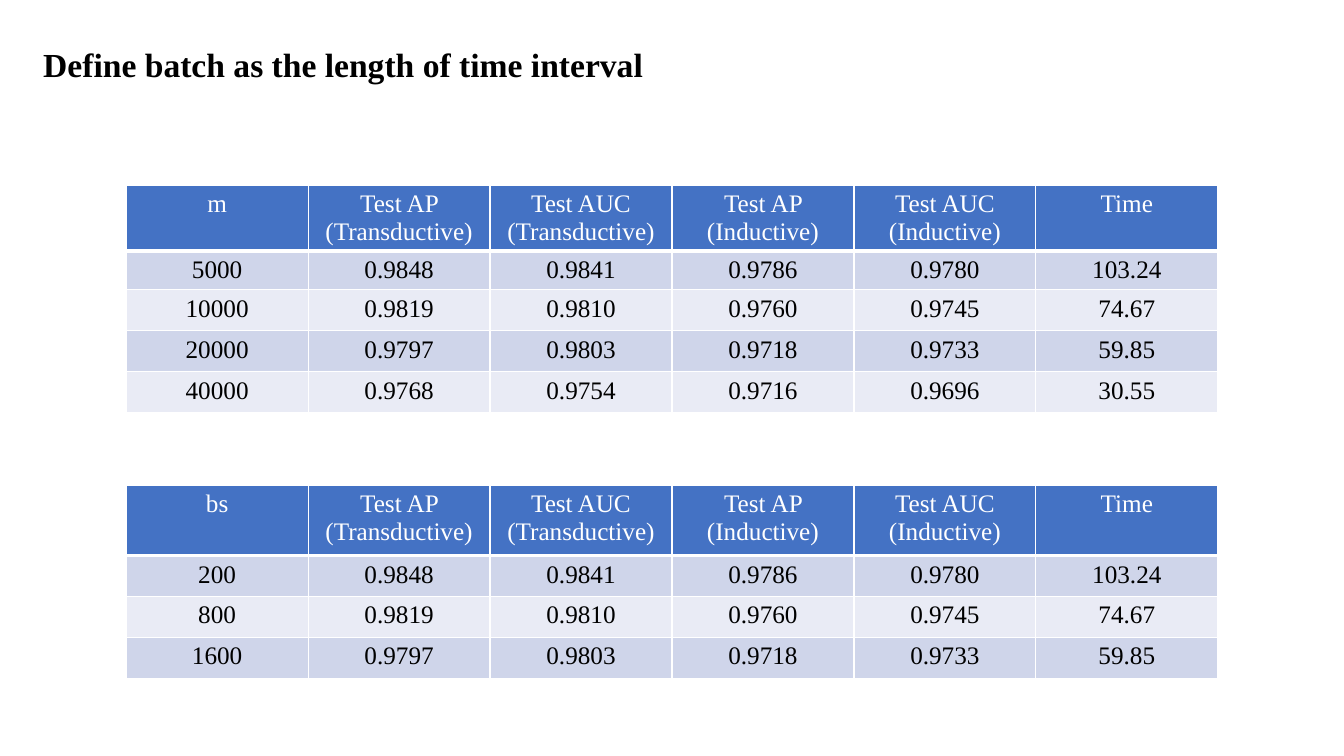
import pptx
import pptx.dml.color
import pptx.enum.text
import pptx.util
from lxml import etree
from pptx.oxml.ns import qn

Cm, Pt = pptx.util.Cm, pptx.util.Pt
RGBColor = pptx.dml.color.RGBColor

WHITE = RGBColor(0xFF, 0xFF, 0xFF)
BLACK = RGBColor(0x00, 0x00, 0x00)
BLUE = RGBColor(0x44, 0x72, 0xC4)
BAND_DARK = RGBColor(0xCF, 0xD5, 0xEA)
BAND_LIGHT = RGBColor(0xE9, 0xEB, 0xF5)

METRICS = ["Test AP (Transductive)", "Test AUC\n(Transductive)",
           "Test AP (Inductive)", "Test AUC\n(Inductive)", "Time"]
RESULTS = [
    ["0.9848", "0.9841", "0.9786", "0.9780", "103.24"],
    ["0.9819", "0.9810", "0.9760", "0.9745", "74.67"],
    ["0.9797", "0.9803", "0.9718", "0.9733", "59.85"],
    ["0.9768", "0.9754", "0.9716", "0.9696", "30.55"],
]


class SlideBuilder:
    font = "Times New Roman"
    left, width = 3.18, 27.51

    def __init__(self, slide):
        self.slide = slide

    def style(self, p, size, color, bold=False):
        p.font.name = self.font
        p.font.size = Pt(size)
        p.font.bold = bold
        p.font.color.rgb = color

    def title(self, text, left, top, width, height):
        sp = self.slide.shapes.add_textbox(Cm(left), Cm(top), Cm(width), Cm(height))
        tf = sp.text_frame
        tf.word_wrap = True
        tf.auto_size = pptx.enum.text.MSO_AUTO_SIZE.SHAPE_TO_FIT_TEXT
        tf.text = text
        self.style(tf.paragraphs[0], 24, BLACK, bold=True)

    def borders(self, cell, bottom):
        tc_pr = cell._tc.get_or_add_tcPr()
        for side, points in (("L", 1), ("R", 1), ("T", 1), ("B", bottom)):
            ln = etree.SubElement(tc_pr, qn(f"a:ln{side}"), w=str(Pt(points)))
            fill = etree.SubElement(ln, qn("a:solidFill"))
            etree.SubElement(fill, qn("a:srgbClr"), val=str(WHITE))

    def cell(self, cell, text, fill, color, bottom):
        self.borders(cell, bottom)
        cell.fill.solid()
        cell.fill.fore_color.rgb = fill
        cell.text = text
        for p in cell.text_frame.paragraphs:
            p.alignment = pptx.enum.text.PP_ALIGN.CENTER
            self.style(p, 18, color)

    def table(self, parameter, settings, top, heights):
        rows = [[parameter] + METRICS]
        rows += [[setting] + result for setting, result in zip(settings, RESULTS)]
        frame = self.slide.shapes.add_table(
            len(rows), len(rows[0]), Cm(self.left), Cm(top),
            Cm(self.width), Cm(sum(heights)))
        table = frame.table
        for row, height in zip(table.rows, heights):
            row.height = Cm(height)
        for i, row in enumerate(rows):
            if i == 0:
                look = (BLUE, WHITE, 3)
            else:
                look = (BAND_DARK if i % 2 else BAND_LIGHT, BLACK, 1)
            for j, text in enumerate(row):
                self.cell(table.cell(i, j), text, *look)


def main():
    prs = pptx.Presentation()
    prs.slide_width, prs.slide_height = Cm(33.87), Cm(19.05)
    s = SlideBuilder(prs.slides.add_slide(prs.slide_layouts[6]))

    # Results by time interval length
    s.table("m", ["5000", "10000", "20000", "40000"], 4.67,
            [1.65, 0.97, 1.03, 1.03, 1.03])

    # Heading
    s.title("Define batch as the length of time interval", 0.84, 0.97, 16.94, 1.27)

    # Results by batch size
    s.table("bs", ["200", "800", "1600"], 12.22, [1.77, 1.03, 1.03, 1.03])

    prs.save("out.pptx")


if __name__ == "__main__":
    main()
